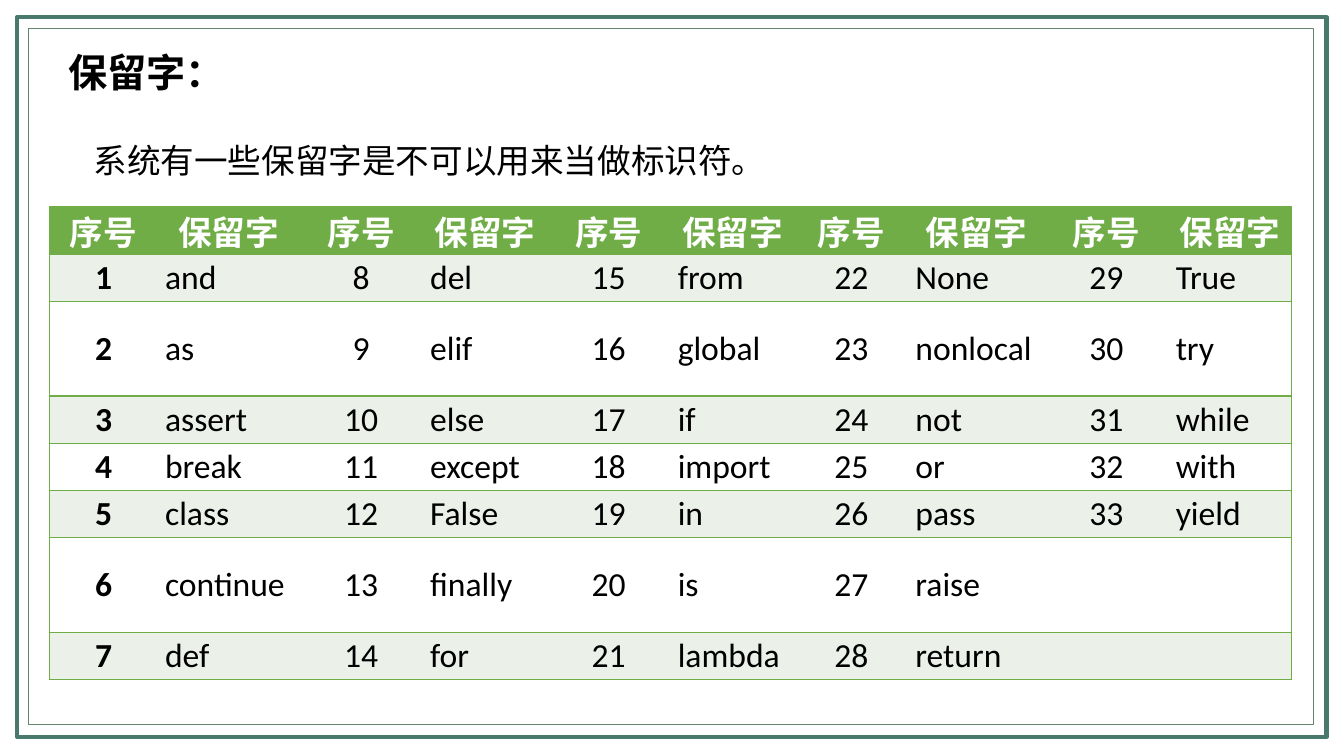
from lxml import etree
from pptx import Presentation
from pptx.dml.color import RGBColor
from pptx.enum.shapes import MSO_SHAPE as SHAPE
from pptx.enum.text import MSO_ANCHOR as ANCHOR, PP_ALIGN as ALIGN
from pptx.oxml.ns import qn
from pptx.util import Cm, Pt

KEYWORDS = """and as assert break class continue def del elif else except False
finally for from global if import in is lambda None nonlocal not or pass raise
return True try while with yield""".split()
ROWS = 7
COL_WIDTHS = [2.74, 3.56, 3.12, 3.12, 3.12, 3.12, 2.87, 3.43, 3.13, 3.1]
ROW_HEIGHTS = [1.19, 1.19, 2.39, 1.19, 1.19, 1.19, 2.39, 1.19]
PLAIN_STYLE = "{2D5ABB26-0587-4C30-8999-92F81FD0307C}"


def rgb(value):
    return RGBColor.from_string(value)


class Deck:
    cjk, latin = "Noto Sans CJK SC", "Calibri"
    black, white, green, band = "000000", "FFFFFF", "70AD47", "EBF1E9"

    def __init__(self):
        self.prs = Presentation()
        self.prs.slide_width, self.prs.slide_height = Cm(33.87), Cm(19.05)
        self.s = self.prs.slides.add_slide(self.prs.slide_layouts[6])

    def paragraph(self, p, text, size, color, font, bold=False, align=ALIGN.LEFT):
        p.text = text
        p.alignment = align
        f = p.font
        f.size, f.bold, f.name = Pt(size), bold, font
        f.color.rgb = rgb(color)
        def_rpr = p._p.pPr.find(qn("a:defRPr"))
        etree.SubElement(def_rpr, qn("a:ea"), typeface=self.cjk)

    def frame(self, x, y, w, h, color, weight):
        sp = self.s.shapes.add_shape(SHAPE.RECTANGLE, Cm(x), Cm(y), Cm(w), Cm(h))
        sp.shadow.inherit = False
        sp.fill.background()
        sp.line.color.rgb = rgb(color)
        sp.line.width = Pt(weight)

    def text(self, x, y, w, h, text, size, bold=False, before=0):
        tf = self.s.shapes.add_textbox(Cm(x), Cm(y), Cm(w), Cm(h)).text_frame
        tf.word_wrap = True
        p = tf.paragraphs[0]
        self.paragraph(p, text, size, self.black, self.cjk, bold)
        p.space_before = Pt(before)

    def border(self, cell, sides):
        # Border lines come before the fill in the cell properties
        tc_pr = cell._tc.get_or_add_tcPr()
        for i, side in enumerate(sides):
            ln = etree.Element(qn(f"a:ln{side}"), w=str(Pt(1)))
            fill = etree.SubElement(ln, qn("a:solidFill"))
            etree.SubElement(fill, qn("a:srgbClr"), val=self.green)
            tc_pr.insert(i, ln)

    def table(self, x, y, widths, heights, rows):
        sp = self.s.shapes.add_table(len(heights), len(widths), Cm(x), Cm(y),
                                     Cm(sum(widths)), Cm(sum(heights)))
        table = sp.table
        sp._element.find(".//" + qn("a:tableStyleId")).text = PLAIN_STYLE
        for col, width in zip(table.columns, widths):
            col.width = Cm(width)
        for row, height in zip(table.rows, heights):
            row.height = Cm(height)

        for r, values in enumerate(rows):
            header = r == 0
            fill = self.green if header else self.band if r % 2 else self.white
            for c, value in enumerate(values):
                cell = table.cell(r, c)
                cell.vertical_anchor = ANCHOR.MIDDLE
                cell.margin_left = cell.margin_right = Cm(0.18)
                cell.margin_top = cell.margin_bottom = 0
                cell.fill.solid()
                cell.fill.fore_color.rgb = rgb(fill)
                left = "L" if c == 0 else ""
                right = "R" if c == len(widths) - 1 else ""
                self.border(cell, left + right + "TB")
                if value:
                    centred = header or c % 2 == 0
                    self.paragraph(cell.text_frame.paragraphs[0], value, 24,
                                   self.white if header else self.black, self.latin,
                                   header or c == 0,
                                   ALIGN.CENTER if centred else ALIGN.LEFT)


def keyword_rows():
    """Number the keywords down each pair of columns."""
    groups = len(COL_WIDTHS) // 2
    rows = [["序号", "保留字"] * groups]
    for r in range(ROWS):
        row = []
        for n in range(r, ROWS * groups, ROWS):
            row += [str(n + 1), KEYWORDS[n]] if n < len(KEYWORDS) else ["", ""]
        rows.append(row)
    return rows


def main():
    deck = Deck()

    # Double frame
    deck.frame(0.43, 0.43, 33, 18.14, "49786D", 3)
    deck.frame(0.71, 0.71, 32.39, 17.55, "64846E", 0.5)

    # Heading and introduction
    deck.text(1.47, 1.09, 13.67, 1.45, "保留字：", 28, bold=True)
    deck.text(2.11, 3.4, 18.8, 1.27, "系统有一些保留字是不可以用来当做标识符。", 24, before=12)

    # Reserved words
    deck.table(1.24, 5.21, COL_WIDTHS, ROW_HEIGHTS, keyword_rows())

    deck.prs.save("out.pptx")


if __name__ == "__main__":
    main()
